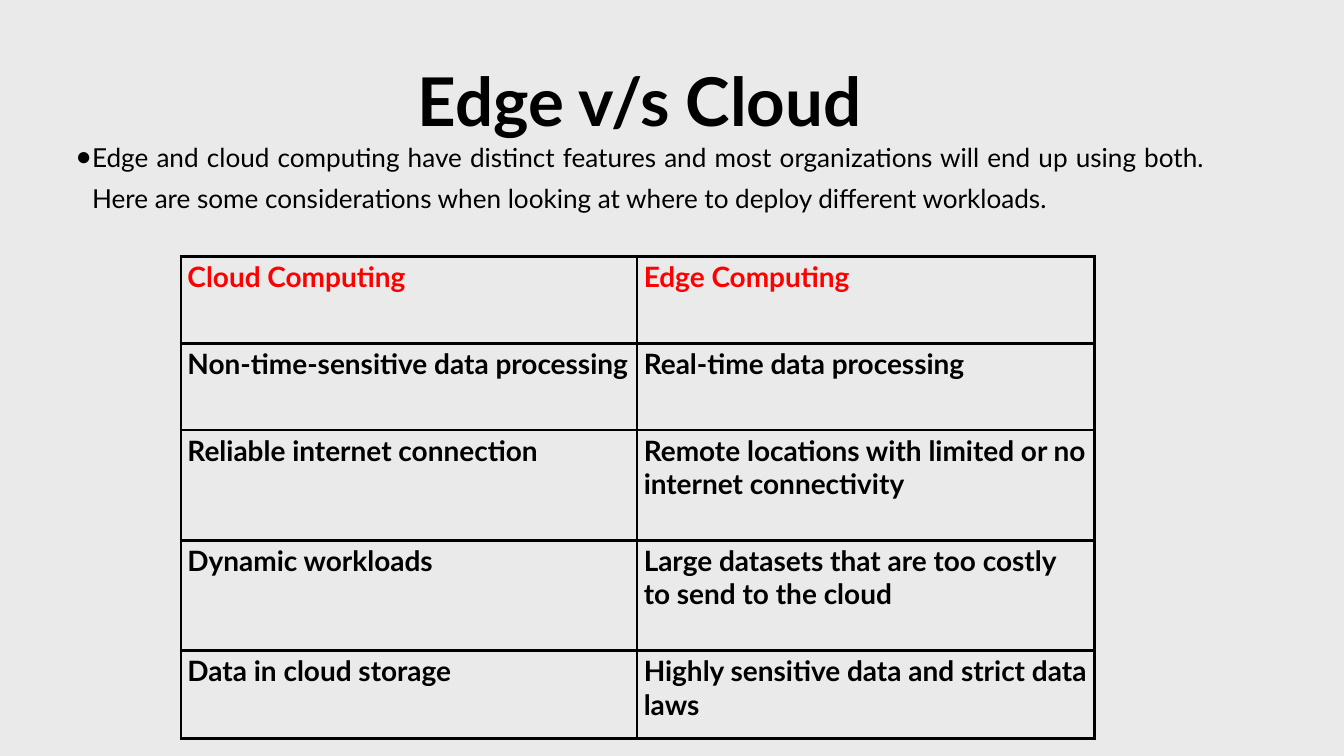
import pptx
import pptx.dml.color
import pptx.enum.text
import pptx.oxml
import pptx.oxml.ns
import pptx.util

BACKGROUND = pptx.dml.color.RGBColor(0xEA, 0xEA, 0xEA)
BLACK = pptx.dml.color.RGBColor(0, 0, 0)
RED = pptx.dml.color.RGBColor(0xFF, 0, 0)
FONT = "Lato"
ALIGN = pptx.enum.text.PP_ALIGN

deck = pptx.Presentation()
deck.slide_width = pptx.util.Inches(20)
deck.slide_height = pptx.util.Inches(11.25)
ACROSS = deck.slide_width / 100  # one percent of the slide's width
DOWN = deck.slide_height / 100  # one percent of the slide's height


def add_run(paragraph, text, size, color, bold):
    run = paragraph.add_run()
    run.text = text
    run.font.name = FONT
    run.font.size = pptx.util.Pt(size)
    run.font.bold = bold
    run.font.color.rgb = color


def format_placeholder(holder, top, height, align):
    holder.left, holder.width = int(5.65 * ACROSS), int(83.9 * ACROSS)
    holder.top, holder.height = int(top * DOWN), int(height * DOWN)
    frame = holder.text_frame
    frame.margin_left = frame.margin_right = 0
    frame.margin_top = frame.margin_bottom = 0
    frame.word_wrap = True
    frame.auto_size = pptx.enum.text.MSO_AUTO_SIZE.NONE
    frame.vertical_anchor = pptx.enum.text.MSO_ANCHOR.TOP
    paragraph = frame.paragraphs[0]
    paragraph.alignment = align
    paragraph.line_spacing = 1.3
    paragraph.space_before = pptx.util.Pt(0)
    return paragraph


slide = deck.slides.add_slide(deck.slide_layouts[1])
slide.background.fill.solid()
slide.background.fill.fore_color.rgb = BACKGROUND

# Title
heading = format_placeholder(slide.shapes.title, 4.71, 13.87, ALIGN.CENTER)
add_run(heading, "Edge v/s Cloud", 72, BLACK, True)

# Introduction with a hanging bullet
intro = format_placeholder(slide.placeholders[1], 17.42, 16.18, ALIGN.JUSTIFY)
add_run(
    intro,
    "Edge and cloud computing have distinct features and most organizations "
    "will end up using both. Here are some considerations when looking at "
    "where to deploy different workloads.",
    28, BLACK, False,
)
bullet = intro._p.get_or_add_pPr()
hang = int(1.2 * ACROSS)
bullet.set("marL", str(hang))
bullet.set("indent", str(-hang))
NS = pptx.oxml.ns.nsdecls("a")
for xml in (
    f'<a:buClr {NS}><a:srgbClr val="{BLACK}"/></a:buClr>',
    f'<a:buChar {NS} char="●"/>',
):
    bullet.append(pptx.oxml.parse_xml(xml))

# Comparison table
comparison = [
    ("Cloud Computing", "Edge Computing"),
    ("Non-time-sensitive data processing", "Real-time data processing"),
    ("Reliable internet connection",
     "Remote locations with limited or no internet connectivity"),
    ("Dynamic workloads",
     "Large datasets that are too costly to send to the cloud"),
    ("Data in cloud storage", "Highly sensitive data and strict data laws"),
]
column_shares = [33.95, 34.05]
row_shares = [11.47, 11.47, 14.58, 14.58, 11.64]

table = slide.shapes.add_table(
    len(row_shares), len(column_shares),
    int(13.45 * ACROSS), int(33.96 * DOWN),
    int(sum(column_shares) * ACROSS), int(sum(row_shares) * DOWN),
).table
table.first_row = table.horz_banding = False
for column, share in zip(table.columns, column_shares):
    column.width = int(share * ACROSS)
for row, share in zip(table.rows, row_shares):
    row.height = int(share * DOWN)

border_width = pptx.util.Pt(3)
for r, texts in enumerate(comparison):
    for c, text in enumerate(texts):
        cell = table.cell(r, c)
        add_run(cell.text_frame.paragraphs[0], text, 30,
                RED if r == 0 else BLACK, True)
        borders = cell._tc.get_or_add_tcPr()
        for side in ("lnL", "lnR", "lnT", "lnB"):
            borders.append(pptx.oxml.parse_xml(
                f'<a:{side} {NS} w="{border_width}"><a:solidFill>'
                f'<a:srgbClr val="{BLACK}"/></a:solidFill></a:{side}>'))
        cell.fill.background()

deck.save("out.pptx")
